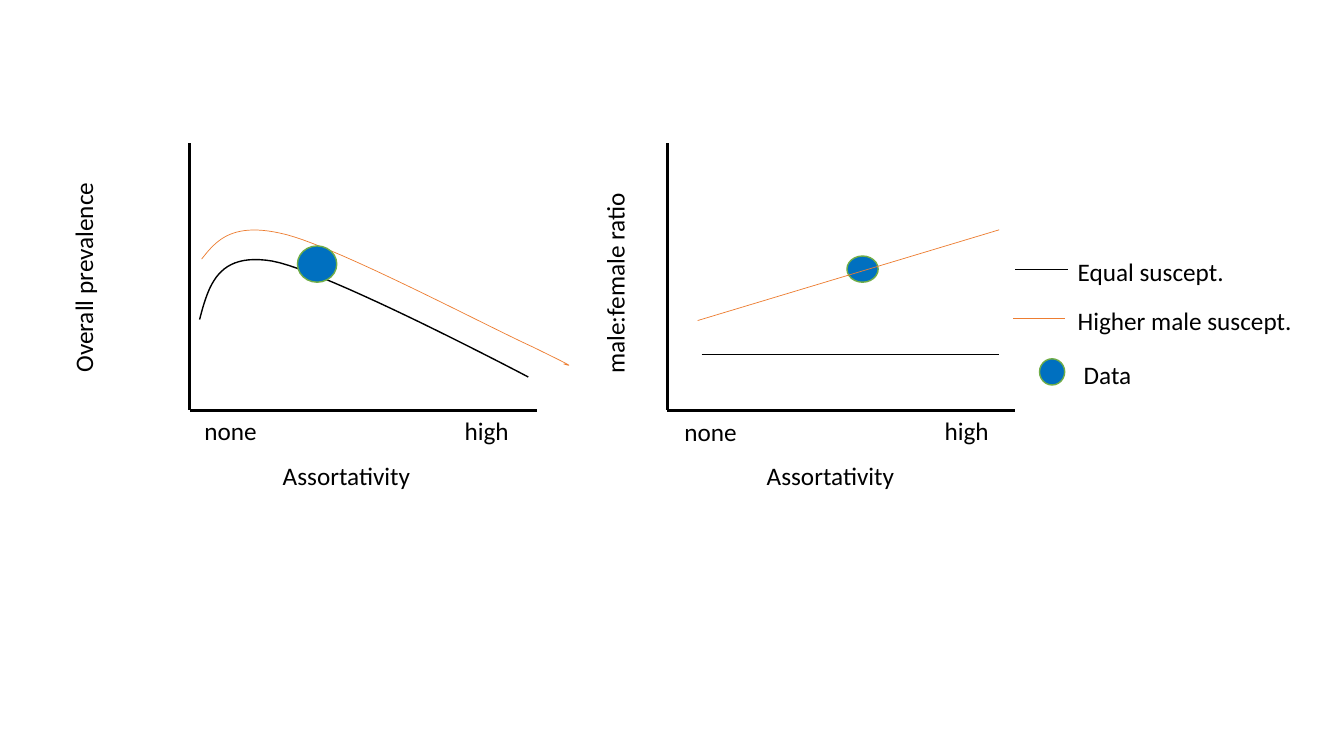
from lxml import etree
from pptx import Presentation
from pptx.dml.color import RGBColor
from pptx.enum.shapes import MSO_CONNECTOR, MSO_SHAPE
from pptx.enum.text import MSO_AUTO_SIZE, PP_ALIGN
from pptx.oxml.ns import qn
from pptx.util import Inches, Pt

STRAIGHT = MSO_CONNECTOR.STRAIGHT
OVAL = MSO_SHAPE.OVAL
FIT_TEXT = MSO_AUTO_SIZE.SHAPE_TO_FIT_TEXT
LEFT, CENTER = PP_ALIGN.LEFT, PP_ALIGN.CENTER
BLACK, ORANGE, BLUE, GREEN = "000000", "ED7D31", "0070C0", "70AD47"
BLANK_LAYOUT = 6
CURVE_STEPS = 24

EQUAL_CURVE = [
    [(1.98, 3.17), (2.07, 2.83), (2.16, 2.5), (2.7, 2.59)],
    [(2.7, 2.59), (3.25, 2.69), (5.24, 3.74), (5.24, 3.74)],
]
HIGHER_MALE_CURVE = [
    [(2, 2.57), (2.15, 2.38), (2.31, 2.19), (2.85, 2.33)],
    [(2.85, 2.33), (3.4, 2.48), (4.82, 3.23), (5.28, 3.44)],
    [(5.28, 3.44), (5.73, 3.66), (5.66, 3.63), (5.59, 3.61)],
]


def color(hex_string):
    """Turn a hex string into a colour."""
    return RGBColor.from_string(hex_string)


def set_line(shape, hex_string, width):
    """Give a shape or connector its line colour and width."""
    shape.line.color.rgb = color(hex_string)
    shape.line.width = Pt(width)


def add_line(page, start, end, hex_string=BLACK, width=0.5):
    """Draw a straight line between two points."""
    line = page.shapes.add_connector(STRAIGHT, *map(Inches, start + end))
    set_line(line, hex_string, width)
    etree.SubElement(line._element.spPr, qn("a:effectLst"))


def add_axes(page, left):
    """Draw the vertical and horizontal axis of one graph."""
    top, bottom, width = 1.42, 4.07, 3.45
    add_line(page, (left, top), (left, bottom), width=2.25)
    add_line(page, (left, bottom), (left + width, bottom), width=2.25)


def bezier_point(controls, share):
    """Find the point at a share of the way along a cubic curve."""
    rest = 1 - share
    weights = (rest ** 3, 3 * rest ** 2 * share, 3 * rest * share ** 2, share ** 3)
    return tuple(
        Inches(sum(weight * value for weight, value in zip(weights, axis)))
        for axis in zip(*controls)
    )


def add_curve(page, segments, hex_string, width):
    """Draw an open smooth curve through cubic segments."""
    points = [
        bezier_point(controls, step / CURVE_STEPS)
        for controls in segments
        for step in range(1, CURVE_STEPS + 1)
    ]
    builder = page.shapes.build_freeform(*bezier_point(segments[0], 0))
    builder.add_line_segments(points, close=False)
    curve = builder.convert_to_shape()
    curve.shadow.inherit = False
    curve.fill.background()
    set_line(curve, hex_string, width)


def add_data_point(page, left, top, width, height):
    """Draw a data marker."""
    marker = page.shapes.add_shape(OVAL, *map(Inches, (left, top, width, height)))
    marker.shadow.inherit = False
    marker.fill.solid()
    marker.fill.fore_color.rgb = color(BLUE)
    set_line(marker, GREEN, 1)


def add_label(page, text, left, top, width, align=LEFT, rotation=0):
    """Write a one-line label."""
    box = page.shapes.add_textbox(*map(Inches, (left, top, width, 0.4)))
    box.rotation = rotation
    frame = box.text_frame
    frame.word_wrap = False
    frame.auto_size = FIT_TEXT
    para = frame.paragraphs[0]
    para.alignment = align
    span = para.add_run()
    span.text = text
    for name, value in {"name": "Calibri", "size": Pt(18)}.items():
        setattr(span.font, name, value)
    span.font.color.rgb = color(BLACK)


def add_prevalence_graph(page):
    """Draw the graph of overall prevalence."""
    add_axes(page, 1.88)
    add_label(page, "Overall prevalence", -0.23, 2.54, 2.11, rotation=270)
    add_label(page, "none", 1.93, 4.07, 0.73)
    add_label(page, "high", 4.51, 4.07, 0.65)
    add_label(page, "Assortativity ", 2.7, 4.52, 1.53, CENTER)
    add_curve(page, EQUAL_CURVE, BLACK, 1)
    add_curve(page, HIGHER_MALE_CURVE, ORANGE, 0.5)
    add_data_point(page, 2.95, 2.44, 0.39, 0.36)


def add_ratio_graph(page):
    """Draw the graph of the male to female ratio."""
    add_axes(page, 6.62)
    add_label(page, "male:female ratio", 5.09, 2.6, 2.01, rotation=270)
    add_label(page, "none", 6.69, 4.08, 0.73)
    add_label(page, "high", 9.27, 4.07, 0.65)
    add_label(page, "Assortativity ", 7.5, 4.52, 1.53, CENTER)
    add_data_point(page, 8.4, 2.54, 0.31, 0.26)
    add_line(page, (6.96, 3.52), (9.91, 3.52))
    add_line(page, (6.92, 3.18), (9.91, 2.28), ORANGE)


def add_legend(page):
    """Draw the key to the lines and the marker."""
    add_line(page, (10.07, 2.67), (10.59, 2.67))
    add_label(page, "Equal suscept.", 10.59, 2.49, 1.72)
    add_line(page, (10.05, 3.16), (10.56, 3.16), ORANGE)
    add_label(page, "Higher male suscept.", 10.59, 2.98, 2.42)
    add_data_point(page, 10.31, 3.56, 0.25, 0.26)
    add_label(page, "Data", 10.65, 3.52, 0.68)


def main():
    """Build and save the slide."""
    deck = Presentation()
    deck.slide_width, deck.slide_height = Inches(13.33), Inches(7.5)
    page = deck.slides.add_slide(deck.slide_layouts[BLANK_LAYOUT])
    add_prevalence_graph(page)
    add_ratio_graph(page)
    add_legend(page)
    deck.save("out.pptx")


if __name__ == "__main__":
    main()
